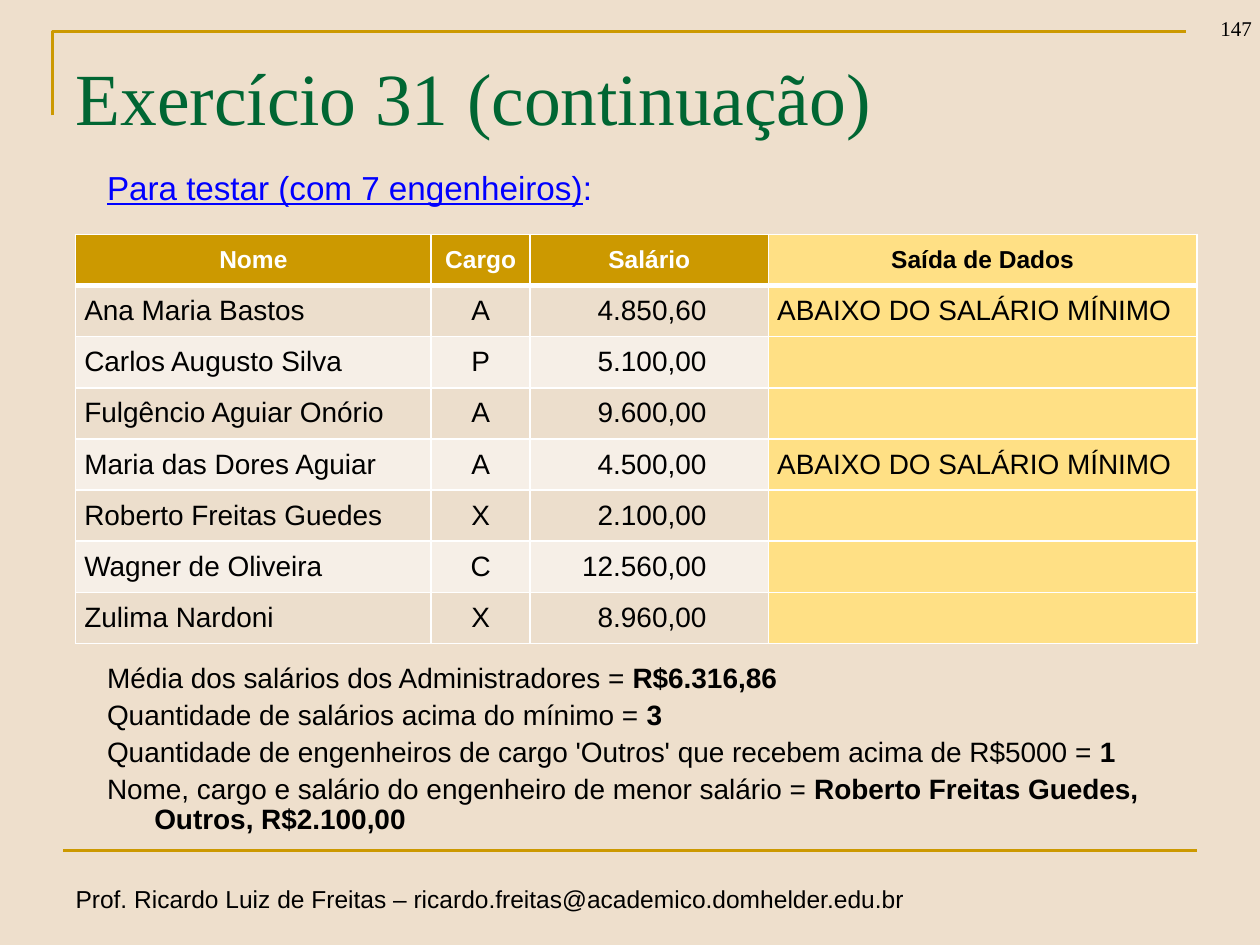
from lxml import etree
from pptx import Presentation
from pptx.dml.color import RGBColor
from pptx.enum import shapes, text
from pptx.oxml import ns
from pptx.util import Pt

SANS, SERIF = "Arial", "Times New Roman"
BLACK, WHITE, GOLD, YELLOW = "000000", "FFFFFF", "CC9900", "FFE085"
BANDS = ["ECDECC", "F6EFE7"]
LEFT, CENTER, RIGHT = text.PP_ALIGN.LEFT, text.PP_ALIGN.CENTER, text.PP_ALIGN.RIGHT

TITLE = "Exercício 31 (continuação)"
HEADING = "Para testar (com 7 engenheiros)"
FOOTER = "Prof. Ricardo Luiz de Freitas – ricardo.freitas@academico.domhelder.edu.br"
BELOW = "ABAIXO DO SALÁRIO MÍNIMO"
HEADERS = ["Nome", "Cargo", "Salário", "Saída de Dados"]
ENGINEERS = [
    ("Ana Maria Bastos", "A", "4.850,60", BELOW),
    ("Carlos Augusto Silva", "P", "5.100,00", ""),
    ("Fulgêncio Aguiar Onório", "A", "9.600,00", ""),
    ("Maria das Dores Aguiar", "A", "4.500,00", BELOW),
    ("Roberto Freitas Guedes", "X", "2.100,00", ""),
    ("Wagner de Oliveira", "C", "12.560,00", ""),
    ("Zulima Nardoni", "X", "8.960,00", ""),
]
RESULTS = [
    ("Média dos salários dos Administradores = ", "R$6.316,86"),
    ("Quantidade de salários acima do mínimo = ", "3"),
    ("Quantidade de engenheiros de cargo 'Outros' que recebem acima de R$5000 = ", "1"),
    ("Nome, cargo e salário do engenheiro de menor salário = ",
     "Roberto Freitas Guedes, Outros, R$2.100,00"),
]
COLUMNS = [(203.2, LEFT, 5), (56.6, CENTER, 5), (136.2, RIGHT, 35.5), (244.8, LEFT, 5)]
ROW_HEIGHT = 29.25


def color(code):
    return RGBColor.from_string(code)


def style(para, size, code=BLACK, name=SANS, bold=False, align=LEFT):
    para.alignment = align
    font = para.font
    font.size, font.name, font.bold = Pt(size), name, bold
    font.color.rgb = color(code)


def add_box(page, left, top, width, height):
    frame = page.shapes.add_textbox(Pt(left), Pt(top), Pt(width), Pt(height)).text_frame
    frame.word_wrap = True
    frame.margin_left = frame.margin_right = frame.margin_top = frame.margin_bottom = 0
    return frame


def add_line_of_text(page, place, words, size, **look):
    para = add_box(page, *place).paragraphs[0]
    para.add_run().text = words
    style(para, size, **look)
    return para


def add_rules(page):
    builder = page.shapes.build_freeform(Pt(30), Pt(66))
    builder.add_line_segments([(Pt(30), Pt(18)), (Pt(678), Pt(18))], close=False)
    corner = builder.convert_to_shape()
    corner.shadow.inherit = False
    corner.fill.background()
    base = page.shapes.add_connector(
        shapes.MSO_CONNECTOR.STRAIGHT, Pt(36), Pt(486), Pt(684), Pt(486))
    etree.SubElement(base._element.spPr, ns.qn("a:effectLst"))
    for rule in (corner, base):
        rule.line.color.rgb = color(GOLD)
        rule.line.width = Pt(1.5)


def set_borders(cell, widths):
    props = cell._tc.get_or_add_tcPr()
    for index, (side, width) in enumerate(widths.items()):
        line = etree.Element(ns.qn("a:ln" + side), w=str(Pt(width)))
        fill = etree.SubElement(line, ns.qn("a:solidFill"))
        etree.SubElement(fill, ns.qn("a:srgbClr"), val=WHITE)
        props.insert(index, line)


def add_salary_table(page):
    rows = [HEADERS] + ENGINEERS
    width = sum(column[0] for column in COLUMNS)
    table = page.shapes.add_table(
        len(rows), len(COLUMNS), Pt(43.2), Pt(133.9), Pt(width), Pt(ROW_HEIGHT * len(rows))).table
    for index, column in enumerate(COLUMNS):
        table.columns[index].width = Pt(column[0])
    for r, row in enumerate(rows):
        table.rows[r].height = Pt(ROW_HEIGHT)
        header = r == 0
        for c, words in enumerate(row):
            output = c == len(COLUMNS) - 1
            _, align, right = COLUMNS[c]
            cell = table.cell(r, c)
            cell.vertical_anchor = text.MSO_ANCHOR.MIDDLE
            cell.margin_left = Pt(5)
            cell.margin_right = Pt(5 if header else right)
            cell.margin_top = cell.margin_bottom = 0
            cell.fill.solid()
            band = GOLD if header else BANDS[(r - 1) % 2]
            cell.fill.fore_color.rgb = color(YELLOW if output else band)
            set_borders(cell, {"L": 1, "R": 1, "T": 3 if r == 1 else 1, "B": 3 if header else 1})
            para = cell.text_frame.paragraphs[0]
            if words:
                para.add_run().text = words
            if header:
                style(para, 14, BLACK if output else WHITE, bold=True, align=CENTER)
            else:
                style(para, 16, align=align)


def add_results(page):
    frame = add_box(page, 61.2, 379.4, 626.4, 100)
    for index, (label, value) in enumerate(RESULTS):
        para = frame.add_paragraph() if index else frame.paragraphs[0]
        props = para._p.get_or_add_pPr()
        props.set("marL", str(Pt(27)))
        props.set("indent", str(-Pt(27)))
        para.line_spacing = 0.9
        para.space_before = Pt(4 if index else 0)
        para.add_run().text = label
        span = para.add_run()
        span.text = value
        style(para, 16)
        span.font.bold = True


def main():
    deck = Presentation()
    deck.slide_width, deck.slide_height = Pt(720), Pt(540)
    page = deck.slides.add_slide(deck.slide_layouts[6])
    page.background.fill.solid()
    page.background.fill.fore_color.rgb = color("EEDFCC")

    add_line_of_text(page, (43.2, 505, 540, 17), FOOTER, 14)
    add_rules(page)
    add_line_of_text(page, (668, 9, 47.4, 14), "147", 12, name=SERIF, align=RIGHT)
    add_line_of_text(page, (43.2, 30, 633.6, 50), TITLE, 42, code="006633", name=SERIF)
    heading = add_line_of_text(page, (61.2, 98, 626.4, 22), HEADING, 19, code="0000FF")
    heading.line_spacing = 0.9
    heading.runs[0].font.underline = True
    heading.add_run().text = ":"
    add_salary_table(page)
    add_results(page)
    deck.save("out.pptx")


if __name__ == "__main__":
    main()
